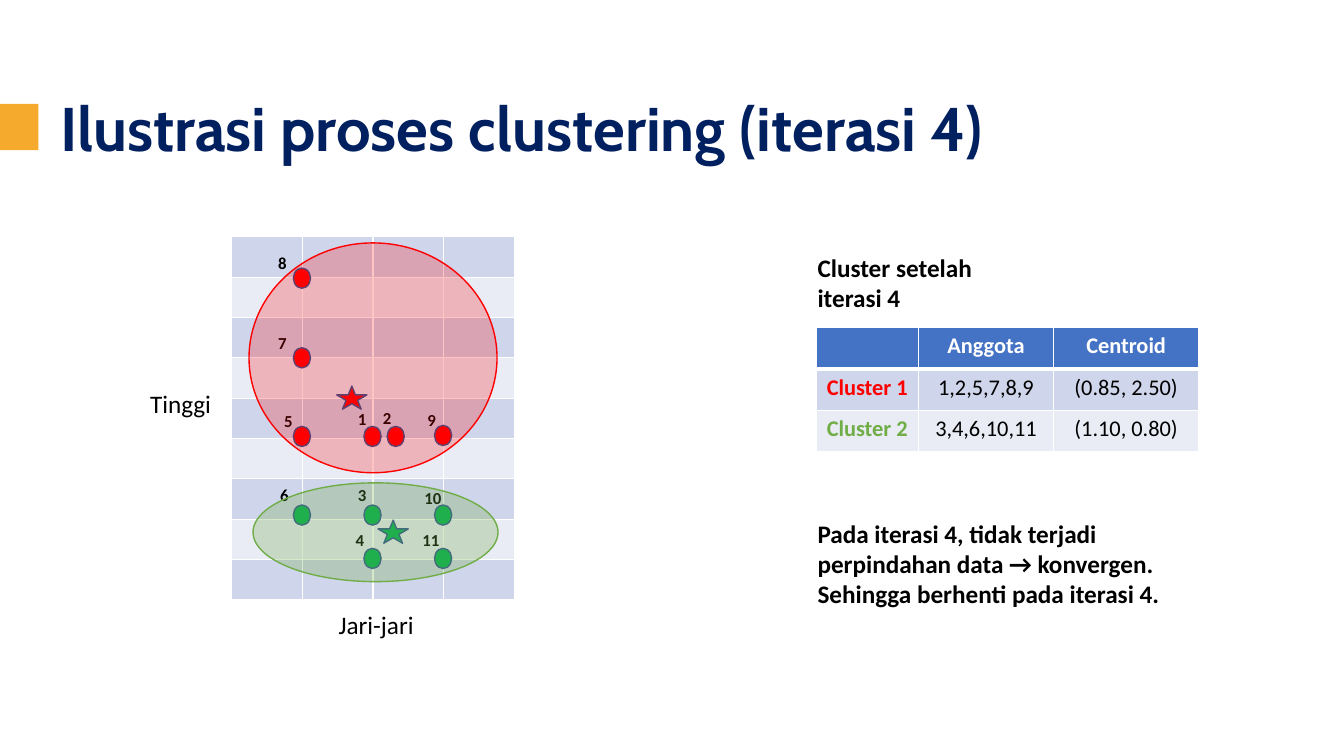
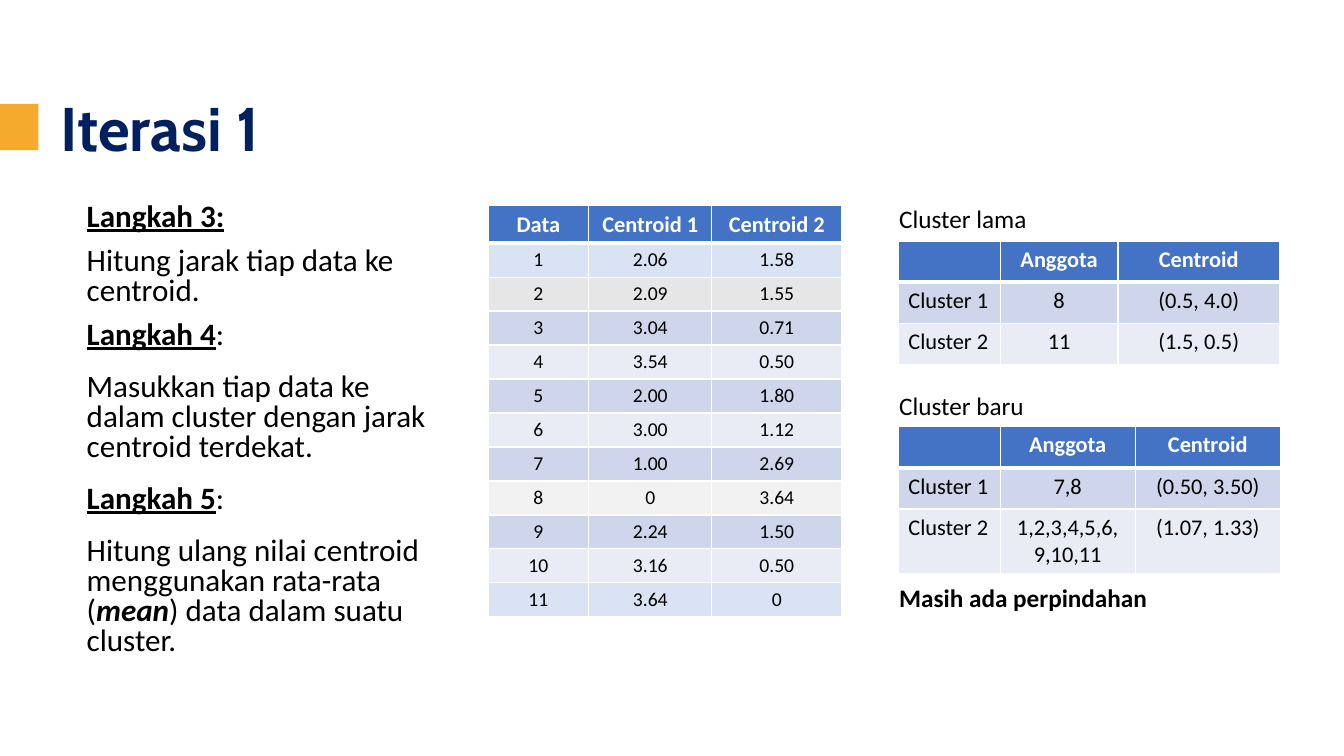
from dataclasses import dataclass
from pptx import Presentation
from pptx.dml.color import RGBColor
from pptx.enum.shapes import MSO_SHAPE as SHAPE
from pptx.enum.text import MSO_ANCHOR as ANCHOR, MSO_AUTO_SIZE as AUTO, PP_ALIGN as ALIGN
from pptx.oxml import parse_xml
from pptx.oxml.ns import nsdecls
from pptx.util import Inches, Pt


@dataclass(frozen=True)
class Theme:
    head_font: str = "Cabin"
    body_font: str = "Calibri"
    title: str = "002060"
    accent: str = "F5AA2D"
    text: str = "000000"
    white: str = "FFFFFF"
    header: str = "4472C4"
    bands: tuple = ("CFD5EA", "E9EBF5")
    pale_blue: str = "DAE3F3"
    gray: str = "E7E6E6"
    pale_gray: str = "F2F2F2"
    red: str = "FF0000"
    green: str = "00B050"
    leaf: str = "70AD47"
    outline: str = "325491"
    title_size: float = 44
    steps_size: float = 22.2
    note_size: float = 18
    table_size: float = 16
    data_size: float = 14
    label_size: float = 12


T = Theme()

CLUSTER_HEAD = ["", "Anggota", "Centroid"]
FINAL = [
    CLUSTER_HEAD,
    [[("Cluster 1", dict(bold=True, color=T.red))], "1,2,5,7,8,9", "(0.85, 2.50)"],
    [[("Cluster 2", dict(bold=True, color=T.leaf))], "3,4,6,10,11", "(1.10, 0.80)"],
]
OLD = [
    CLUSTER_HEAD,
    ["Cluster 1", "8", "(0.5, 4.0)"],
    ["Cluster 2", "11", "(1.5, 0.5)"],
]
NEW = [
    CLUSTER_HEAD,
    ["Cluster 1", "7,8", "(0.50, 3.50)"],
    ["Cluster 2", "1,2,3,4,5,6, 9,10,11", "(1.07, 1.33)"],
]
DISTANCES = [
    ["Data", "Centroid 1", "Centroid 2"],
    ["1", "2.06", "1.58"],
    ["2", "2.09", "1.55"],
    ["3", "3.04", "0.71"],
    ["4", "3.54", "0.50"],
    ["5", "2.00", "1.80"],
    ["6", "3.00", "1.12"],
    ["7", "1.00", "2.69"],
    ["8", "0", "3.64"],
    ["9", "2.24", "1.50"],
    ["10", "3.16", "0.50"],
    ["11", "3.64", "0"],
]
DISTANCE_FILLS = {1: T.pale_blue, 2: T.gray, 8: T.pale_gray, 11: T.pale_blue}

POINTS = [
    ("1", T.red, (3.61, 4.23), (3.45, 4.01)),
    ("2", T.red, (3.84, 4.23), (3.7, 4)),
    ("3", T.green, (3.61, 5.01), (3.45, 4.76)),
    ("4", T.green, (3.61, 5.44), (3.43, 5.21)),
    ("5", T.red, (2.91, 4.23), (2.72, 4.03)),
    ("6", T.green, (2.91, 5.01), (2.68, 4.76)),
    ("7", T.red, (2.91, 3.45), (2.66, 3.25)),
    ("8", T.red, (2.91, 2.66), (2.66, 2.46)),
    ("9", T.red, (4.31, 4.22), (4.14, 4.02)),
    ("10", T.green, (4.31, 5.01), (4.11, 4.79)),
    ("11", T.green, (4.31, 5.44), (4.09, 5.21)),
]
CENTROIDS = [(T.red, 3.34, 3.83), (T.green, 3.75, 5.16)]
REGIONS = [
    (T.red, 23, (2.47, 2.41, 2.46, 2.28)),
    (T.leaf, 28, (2.51, 4.79, 2.43, 0.98)),
]

KEY = dict(bold=True, underline=True)
STEPS = [
    ([("Langkah 3:", KEY)], 0),
    ("Hitung jarak tiap data ke centroid.", 0),
    ([("Langkah 4", KEY), (":", {})], 6),
    ("Masukkan tiap data ke dalam cluster dengan jarak centroid terdekat.", 6),
    ([("Langkah 5", KEY), (":", {})], 6),
    ([("Hitung ulang nilai centroid menggunakan rata-rata (", {}),
      ("mean", dict(bold=True, italic=True)),
      (") data dalam suatu cluster.", {})], 6),
]


def rgb(color):
    return RGBColor.from_string(color)


def box(*lengths):
    return [Inches(v) for v in lengths]


def write(tf, paragraphs, *, align=ALIGN.LEFT, line=None, before=None, **fmt):
    base = dict(size=T.note_size, font=T.body_font, color=T.text,
                bold=False, italic=False, underline=False)
    base.update(fmt)
    for i, content in enumerate(paragraphs):
        p = tf.paragraphs[0] if i == 0 else tf.add_paragraph()
        p.alignment = align
        if line is not None:
            p.line_spacing = line
        if before is not None:
            p.space_before = Pt(before)
        for text, extra in [(content, {})] if isinstance(content, str) else content:
            f = {**base, **extra}
            r = p.add_run()
            r.text = text
            r.font.name = f["font"]
            r.font.size = Pt(f["size"])
            r.font.color.rgb = rgb(f["color"])
            r.font.bold = f["bold"]
            r.font.italic = f["italic"]
            r.font.underline = f["underline"]


def add_text(s, at, *paragraphs, wrap=True, **fmt):
    tf = s.shapes.add_textbox(*box(*at)).text_frame
    tf.word_wrap = wrap
    write(tf, paragraphs, **fmt)


def add_shape(s, kind, at, fill, line=None, alpha=None):
    sp = s.shapes.add_shape(kind, *box(*at))
    sp.shadow.inherit = False
    sp.fill.solid()
    sp.fill.fore_color.rgb = rgb(fill)
    if alpha is not None:
        color = sp.fill._xPr.solidFill[0]
        color.append(parse_xml(f'<a:alpha {nsdecls("a")} val="{alpha * 1000}"/>'))
    if line:
        sp.line.color.rgb = rgb(line)
        sp.line.width = Pt(1)
    else:
        sp.line.fill.background()


def set_cell(cell, fill, top=1, bottom=1):
    tc_pr = cell._tc.get_or_add_tcPr()
    for side, width in (("L", 1), ("R", 1), ("T", top), ("B", bottom)):
        tc_pr.append(parse_xml(
            f'<a:ln{side} {nsdecls("a")} w="{Pt(width)}"><a:solidFill>'
            f'<a:srgbClr val="{T.white}"/></a:solidFill></a:ln{side}>'))
    cell.fill.solid()
    cell.fill.fore_color.rgb = rgb(fill)


def new_table(s, left, top, widths, heights):
    frame = s.shapes.add_table(len(heights), len(widths),
                               *box(left, top, sum(widths), sum(heights)))
    table = frame.table
    for col, width in zip(table.columns, widths):
        col.width = Inches(width)
    for row, height in zip(table.rows, heights):
        row.height = Inches(height)
    return table


def add_table(s, left, top, widths, heights, rows, fills=None, size=T.table_size,
              first=ALIGN.LEFT, anchor=ANCHOR.TOP):
    table = new_table(s, left, top, widths, heights)
    for i, row in enumerate(rows):
        head = i == 0
        fill = T.header if head else (fills or {}).get(i, T.bands[(i - 1) % 2])
        for j, content in enumerate(row):
            cell = table.cell(i, j)
            set_cell(cell, fill, top=3 if i == 1 else 1, bottom=3 if head else 1)
            cell.vertical_anchor = ANCHOR.TOP if head else anchor
            if content:
                write(cell.text_frame, [content], bold=head,
                      align=ALIGN.CENTER if head or j else first,
                      size=T.table_size if head else size,
                      color=T.white if head else T.text)


def add_grid(s, left, top, cols, rows, width, height):
    table = new_table(s, left, top, [width] * cols, [height] * rows)
    for i in range(rows):
        for j in range(cols):
            cell = table.cell(i, j)
            cell.margin_top = cell.margin_bottom = 0
            set_cell(cell, T.bands[i % 2])


def place(sp, at):
    sp.left, sp.top, sp.width, sp.height = box(*at)
    sp.text_frame.auto_size = AUTO.NONE
    return sp.text_frame


def new_slide(prs, layout, title):
    s = prs.slides.add_slide(prs.slide_layouts[layout])
    tf = place(s.shapes.title, (0.5, 0.84, 12.19, 0.85))
    tf.vertical_anchor = ANCHOR.BOTTOM
    write(tf, [title], line=0.9, size=T.title_size, font=T.head_font,
          color=T.title, bold=True)
    add_shape(s, SHAPE.RECTANGLE, (0, 1.03, 0.38, 0.46), T.accent)
    return s


def add_steps(s):
    tf = place(s.placeholders[1], (0.76, 1.97, 3.68, 4.79))
    write(tf, [content for content, _ in STEPS], size=T.steps_size, line=0.8, before=10)
    for p, (_, after) in zip(tf.paragraphs, STEPS):
        p.space_after = Pt(after)
        p_pr = p._p.get_or_add_pPr()
        p_pr.set("marL", "0")
        p_pr.set("indent", "0")
        p_pr.append(parse_xml(f'<a:buNone {nsdecls("a")}/>'))


def build_clusters(prs):
    s = new_slide(prs, 5, "Ilustrasi proses clustering (iterasi 4)")
    add_text(s, (8.01, 2.45, 1.98, 0.71), "Cluster setelah iterasi 4", bold=True)
    add_table(s, 8.1, 3.25, [1.01, 1.34, 1.44], [0.41] * 3, FINAL)
    add_grid(s, 2.3, 2.35, 4, 9, 0.7, 0.4)
    add_text(s, (3.26, 6, 1.03, 0.4), "Jari-jari", wrap=False)
    add_text(s, (1.39, 3.8, 0.83, 0.4), "Tinggi", wrap=False)
    for _, color, dot, _ in POINTS:
        add_shape(s, SHAPE.OVAL, (*dot, 0.17, 0.2), color, T.outline)
    for name, _, _, label in POINTS:
        add_text(s, (*label, 0.21 + 0.08 * len(name), 0.3), name, wrap=False,
                 size=T.label_size, bold=True)
    for color, left, top in CENTROIDS:
        add_shape(s, SHAPE.STAR_5_POINT, (left, top, 0.3, 0.23), color, T.outline)
    for color, alpha, at in REGIONS:
        add_shape(s, SHAPE.OVAL, at, color, color, alpha)
    add_text(s, (8.01, 5.09, 3.79, 1.01),
             "Pada iterasi 4, tidak terjadi perpindahan data → konvergen.",
             "Sehingga berhenti pada iterasi 4.", bold=True)


def build_iteration(prs):
    s = new_slide(prs, 1, "Iterasi 1")
    add_steps(s)
    add_table(s, 4.84, 2.04, [1, 1.22, 1.29], [0.37] + [0.33] * 11, DISTANCES,
              fills=DISTANCE_FILLS, size=T.data_size, first=ALIGN.CENTER,
              anchor=ANCHOR.MIDDLE)
    add_table(s, 8.91, 2.39, [1.01, 1.17, 1.6], [0.41] * 3, OLD)
    add_table(s, 8.91, 4.23, [1.01, 1.34, 1.44], [0.41, 0.41, 0.62], NEW)
    add_text(s, (8.82, 1.97, 1.98, 0.4), "Cluster lama")
    add_text(s, (8.82, 3.82, 1.98, 0.4), "Cluster baru")
    add_text(s, (8.82, 5.73, 2.82, 0.4), "Masih ada perpindahan", bold=True)


def main():
    prs = Presentation()
    prs.slide_width, prs.slide_height = box(13.33, 7.5)
    build_clusters(prs)
    build_iteration(prs)
    prs.save("out.pptx")


if __name__ == "__main__":
    main()
